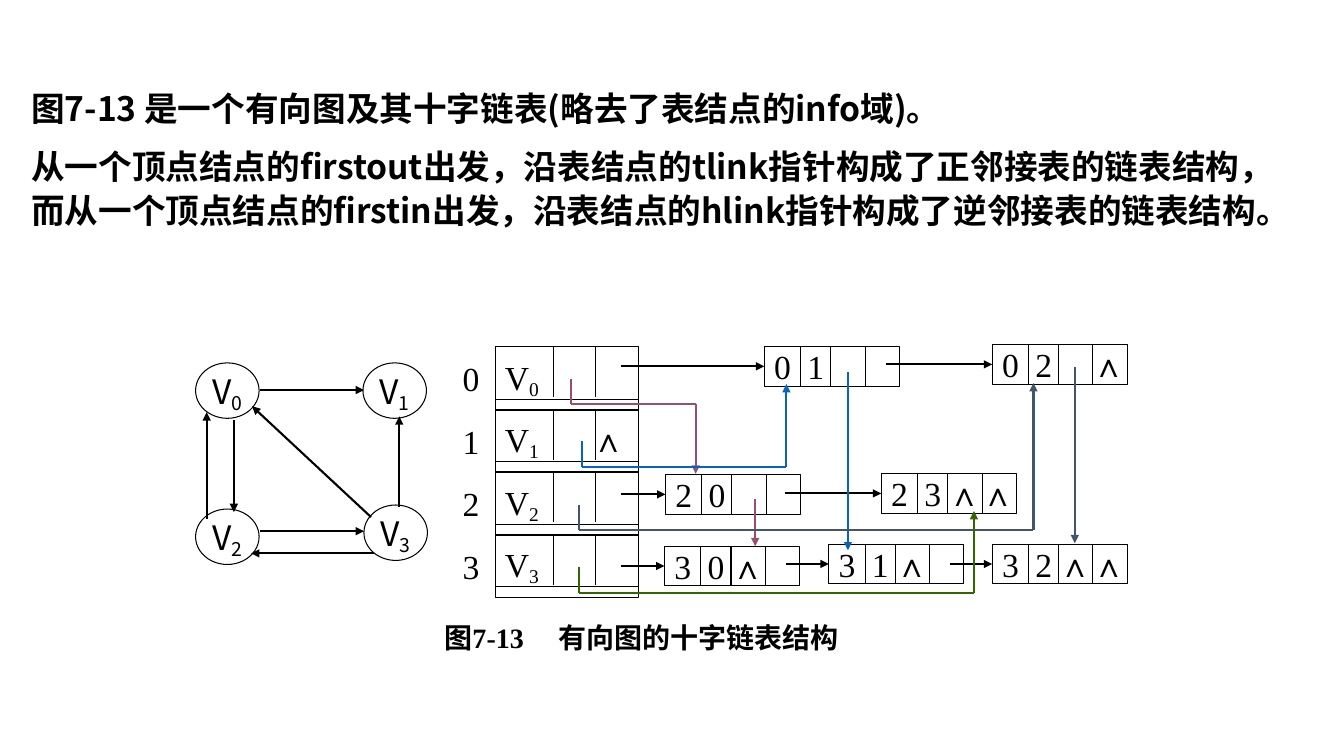
from lxml import etree
from pptx import Presentation
from pptx import util as u
from pptx.dml.color import RGBColor
from pptx.enum import shapes, text
from pptx.oxml.ns import qn

SANS, SERIF = "Noto Sans CJK SC", "Times New Roman"
BLACK, PLUM, BLUE, SLATE, GREEN = "000000", "954F72", "0563C1", "44546A", "336600"

INTRO = [
    "图7-13 是一个有向图及其十字链表(略去了表结点的info域)。",
    "从一个顶点结点的firstout出发，沿表结点的tlink指针构成了正邻接表的链表结构，"
    "而从一个顶点结点的firstin出发，沿表结点的hlink指针构成了逆邻接表的链表结构。",
]
CAPTION = "图7-13\t有向图的十字链表结构"

# Directed graph: vertex corners, then edges from point to point
VERTICES = [(1.94, 3.6), (3.6, 3.6), (1.94, 5.05), (3.61, 5.01)]
EDGES = [
    ((3.96, 5.03), (3.96, 4.13)),
    ((2.58, 3.87), (3.61, 3.87)),
    ((2.32, 4.17), (2.32, 5.08)),
    ((2.58, 5.27), (3.61, 5.27)),
    ((3.68, 5.13), (2.5, 4.03)),
    ((2.05, 5.15), (2.05, 4.09)),
    ((3.71, 5.49), (2.49, 5.49)),
]

# Arc nodes: left, top, fields, x where the incoming tlink arrow starts
ARC_NODES = [
    (7.58, 3.44, "0\t1", 6.16),
    (9.84, 3.42, "0\t2\t\t∧", 8.79),
    (6.6, 4.71, "2\t0", 6.16),
    (8.74, 4.7, "2\t3\t∧∧", 7.79),
    (6.59, 5.42, "3\t0\t∧", 6.16),
    (8.22, 5.4, "3\t1\t∧", 7.8),
    (9.84, 5.4, "3\t2\t∧∧", 9.42),
]
NODE_WIDTH, NODE_HEIGHT = 1.34, 0.39
NODE_DIVIDERS = (0.36, 0.66, 1.0)
NODE_TABS = (0.33, 0.56, 0.89)

# Vertex table: text that follows each vertex name
VERTEX_ROWS = ["", "\t∧", "", ""]
TABLE_LEFT, TABLE_TOP, ROW_PITCH = 4.91, 3.44, 0.62
ROW_WIDTH, ROW_HEIGHT = 1.42, 0.63
ROW_DIVIDERS = (0.58, 1.0)

# hlink routes, each ending in an arrowhead
HLINKS = [
    (PLUM, [(5.66, 3.76), (5.66, 4.01), (6.9, 4.01), (6.9, 4.7)]),
    (PLUM, [(7.49, 4.95), (7.49, 5.42)]),
    (BLUE, [(5.77, 4.38), (5.77, 4.63), (7.8, 4.63), (7.8, 3.81)]),
    (BLUE, [(8.41, 3.69), (8.41, 5.46)]),
    (SLATE, [(5.74, 5.01), (5.74, 5.26), (10.25, 5.26), (10.25, 3.8)]),
    (SLATE, [(10.66, 3.64), (10.66, 5.39)]),
    (GREEN, [(5.74, 5.63), (5.74, 5.88), (9.66, 5.88), (9.66, 5.07)]),
]


def color(hex_string):
    return RGBColor.from_string(hex_string)


def add_span(para, words, font=SERIF, size=24, bold=False, subscript=False):
    span = para.add_run()
    span.text = words
    span.font.name, span.font.size, span.font.bold = font, u.Pt(size), bold
    span.font.color.rgb = color(BLACK)
    props = span.font._element
    east_asian = etree.SubElement(props, qn("a:ea"))
    east_asian.set("typeface", SANS)
    if subscript:
        props.set("baseline", "-18000")


def set_tabs(para, stops):
    tabs = etree.SubElement(para._p.get_or_add_pPr(), qn("a:tabLst"))
    for stop in stops:
        tab = etree.SubElement(tabs, qn("a:tab"))
        tab.set("pos", str(u.Inches(stop)))
        tab.set("algn", "l")


def add_outline(slide, kind, left, top, width, height):
    """Add an unfilled shape with a thin black outline; return it and its paragraph."""
    box = slide.shapes.add_shape(kind, *map(u.Inches, (left, top, width, height)))
    box.shadow.inherit = False
    box.fill.background()
    box.line.color.rgb = color(BLACK)
    box.line.width = u.Pt(0.75)
    box.text_frame.vertical_anchor = text.MSO_ANCHOR.MIDDLE
    box.text_frame.margin_right = 0
    para = box.text_frame.paragraphs[0]
    para.alignment = text.PP_ALIGN.LEFT
    return box, para


def add_label(slide, left, top, width, height):
    """Add an unwrapped text box and return its paragraph."""
    box = slide.shapes.add_textbox(*map(u.Inches, (left, top, width, height)))
    box.text_frame.word_wrap = False
    box.text_frame.margin_right = 0
    box.text_frame.vertical_anchor = text.MSO_ANCHOR.MIDDLE
    return box.text_frame.paragraphs[0]


def add_line(slide, start, end, hex_string=BLACK, width=1.5, arrow=False):
    line = slide.shapes.add_connector(
        shapes.MSO_CONNECTOR.STRAIGHT, *map(u.Inches, (*start, *end)))
    line.line.color.rgb = color(hex_string)
    line.line.width = u.Pt(width)
    if arrow:
        tail = etree.SubElement(line.line._get_or_add_ln(), qn("a:tailEnd"))
        tail.set("type", "triangle")
    etree.SubElement(line._element.spPr, qn("a:effectLst"))
    return line


def add_dividers(slide, left, top, offsets, height):
    for offset in offsets:
        x = left + offset
        add_line(slide, (x, top), (x, top + height), width=0.75)


def add_intro(slide):
    slide.shapes.title._element.getparent().remove(slide.shapes.title._element)
    body = slide.placeholders[1]
    body.left, body.top, body.width, body.height = map(u.Inches, (0.21, 0.78, 12.77, 1.88))
    frame = body.text_frame
    frame.auto_size = text.MSO_AUTO_SIZE.NONE
    for index, words in enumerate(INTRO):
        para = frame.add_paragraph() if index else frame.paragraphs[0]
        para.line_spacing = 1.1
        para.space_before = u.Pt(10)
        props = para._p.get_or_add_pPr()
        props.set("marL", "0")
        props.set("indent", "0")
        etree.SubElement(props, qn("a:buNone"))
        add_span(para, words, SANS, bold=True)


def add_graph(slide):
    for index, (left, top) in enumerate(VERTICES):
        oval, para = add_outline(slide, shapes.MSO_SHAPE.OVAL, left, top, 0.63, 0.55)
        frame = oval.text_frame
        frame.margin_left = frame.margin_top = frame.margin_bottom = 0
        frame.vertical_anchor = text.MSO_ANCHOR.TOP
        para.alignment = text.PP_ALIGN.CENTER
        add_span(para, "V", SANS)
        add_span(para, str(index), SANS, subscript=True)
    for start, end in EDGES:
        add_line(slide, start, end, arrow=True)


def add_arc_nodes(slide):
    for left, top, fields, arrow_start in ARC_NODES:
        node, para = add_outline(
            slide, shapes.MSO_SHAPE.RECTANGLE, left, top, NODE_WIDTH, NODE_HEIGHT)
        set_tabs(para, NODE_TABS)
        add_span(para, fields)
        add_dividers(slide, left, top, NODE_DIVIDERS, NODE_HEIGHT)
        middle = top + NODE_HEIGHT / 2
        tlink = add_line(slide, (arrow_start, middle), (left, middle), arrow=True)
        tlink.end_connect(node, 1)


def add_vertex_table(slide):
    for index, extra in enumerate(VERTEX_ROWS):
        top = TABLE_TOP + index * ROW_PITCH
        add_span(add_label(slide, 4.49, top + 0.01, 0.39, 0.61), str(index))
        row, para = add_outline(
            slide, shapes.MSO_SHAPE.RECTANGLE, TABLE_LEFT, top, ROW_WIDTH, ROW_HEIGHT)
        add_span(para, "V")
        add_span(para, str(index), subscript=True)
        if extra:
            set_tabs(para, [0.86])
            add_span(para, extra)
        add_dividers(slide, TABLE_LEFT, top, ROW_DIVIDERS, 0.5)
        base = top + 0.52
        add_line(slide, (TABLE_LEFT, base), (TABLE_LEFT + ROW_WIDTH, base), width=0.75)


def main():
    deck = Presentation()
    deck.slide_width, deck.slide_height = u.Inches(13.33), u.Inches(7.5)
    slide = deck.slides.add_slide(deck.slide_layouts[1])
    add_intro(slide)
    add_graph(slide)
    add_arc_nodes(slide)
    add_vertex_table(slide)
    for hex_string, points in HLINKS:
        for start, end in zip(points, points[1:]):
            add_line(slide, start, end, hex_string, arrow=end == points[-1])
    caption = add_label(slide, 4.31, 6.13, 4.1, 0.39)
    set_tabs(caption, [1.13])
    add_span(caption, CAPTION, size=20, bold=True)
    deck.save("out.pptx")


if __name__ == "__main__":
    main()
